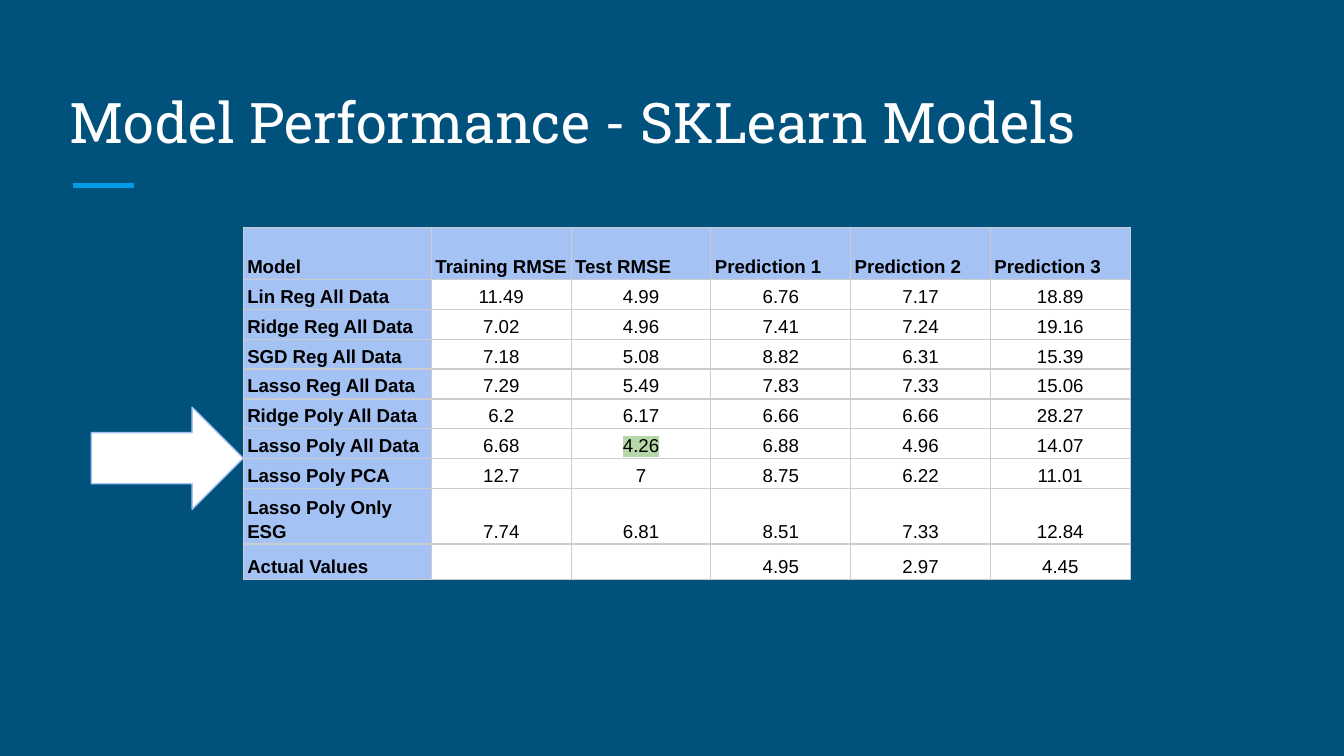
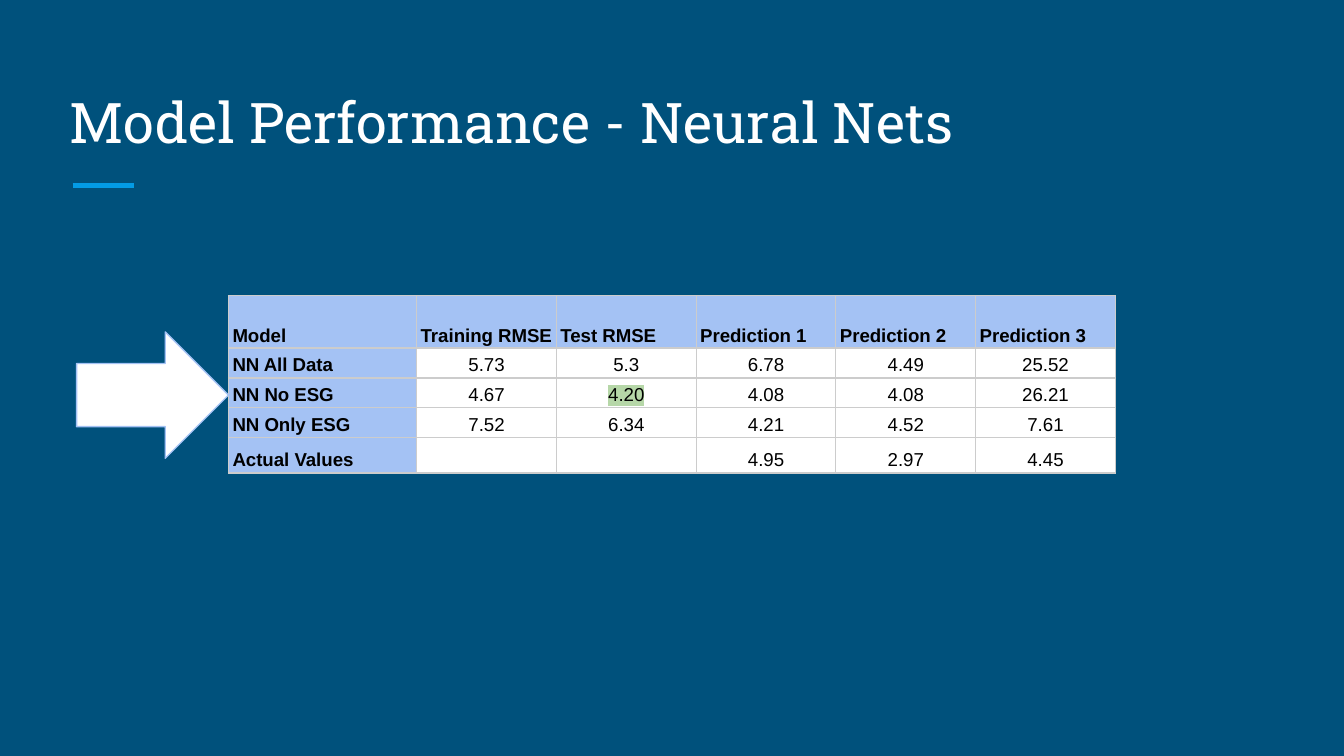
from lxml.etree import SubElement
from pptx import Presentation
from pptx.dml.color import RGBColor
from pptx.enum.shapes import MSO_CONNECTOR, MSO_SHAPE
from pptx.enum.text import MSO_ANCHOR, PP_ALIGN
from pptx.oxml import parse_xml
from pptx.oxml.ns import nsdecls, qn
from pptx.util import Inches, Pt

# Content: the best test score of each table is highlighted
HEADER = ("Model", "Training RMSE", "Test RMSE", "Prediction 1", "Prediction 2", "Prediction 3")
ACTUAL = ("Actual Values", "", "", "4.95", "2.97", "4.45")
SLIDES = [
    {
        "title": "Model Performance - SKLearn Models",
        "table_at": (1.81, 1.69),
        "arrow": (3.03, 0.76),
        "best": "4.26",
        "models": [
            ("Lin Reg All Data", "11.49", "4.99", "6.76", "7.17", "18.89"),
            ("Ridge Reg All Data", "7.02", "4.96", "7.41", "7.24", "19.16"),
            ("SGD Reg All Data", "7.18", "5.08", "8.82", "6.31", "15.39"),
            ("Lasso Reg All Data", "7.29", "5.49", "7.83", "7.33", "15.06"),
            ("Ridge Poly All Data", "6.2", "6.17", "6.66", "6.66", "28.27"),
            ("Lasso Poly All Data", "6.68", "4.26", "6.88", "4.96", "14.07"),
            ("Lasso Poly PCA", "12.7", "7", "8.75", "6.22", "11.01"),
            ("Lasso Poly Only ESG", "7.74", "6.81", "8.51", "7.33", "12.84"),
        ],
    },
    {
        "title": "Model Performance - Neural Nets",
        "table_at": (1.7, 2.2),
        "arrow": (2.47, 0.94),
        "best": "4.20",
        "models": [
            ("NN All Data", "5.73", "5.3", "6.78", "4.49", "25.52"),
            ("NN No ESG", "4.67", "4.20", "4.08", "4.08", "26.21"),
            ("NN Only ESG", "7.52", "6.34", "4.21", "4.52", "7.61"),
        ],
    },
]

# Shared style
NAVY = RGBColor(0x00, 0x51, 0x7C)
ACCENT = RGBColor(0x03, 0x9B, 0xE5)
WHITE = RGBColor(0xFF, 0xFF, 0xFF)
BLACK = RGBColor(0x00, 0x00, 0x00)
PALE_BLUE = RGBColor(0xA4, 0xC2, 0xF4)
GREY = RGBColor(0xCC, 0xCC, 0xCC)
GREEN = RGBColor(0xB6, 0xD7, 0xA8)
TITLE_FONT, TABLE_FONT = "Roboto Slab", "Arial"
NAME_WIDTH, VALUE_WIDTH = 1.4, 1.04
SINGLE_ROW, DOUBLE_ROW = 0.22, 0.39
ARROW_WIDTH = 1.13
TWO_LINE_NAMES = ("Model", "Lasso Poly Only ESG")


def add_run(para, text, font, size, color, bold=False):
    span = para.add_run()
    span.text = text
    span.font.name, span.font.size, span.font.bold = font, Pt(size), bold
    span.font.color.rgb = color
    return span


def add_page(deck, title):
    page = deck.slides.add_slide(deck.slide_layouts[6])
    page.background.fill.solid()
    page.background.fill.fore_color.rgb = NAVY

    # Short accent line under the title
    line = page.shapes.add_connector(
        MSO_CONNECTOR.STRAIGHT, Inches(0.54), Inches(1.38), Inches(1), Inches(1.38))
    line.line.color.rgb = ACCENT
    line.line.width = Pt(3)
    SubElement(line._element.spPr, qn("a:effectLst"))

    box = page.shapes.add_textbox(Inches(0.42), Inches(0.5), Inches(9.15), Inches(0.75))
    frame = box.text_frame
    frame.word_wrap = True
    frame.vertical_anchor = MSO_ANCHOR.BOTTOM
    frame.margin_left = frame.margin_right = Inches(0.1)
    frame.margin_top = frame.margin_bottom = Inches(0.1)
    add_run(frame.paragraphs[0], title, TITLE_FONT, 30, WHITE)
    return page


def highlight(span):
    mark = parse_xml(f'<a:highlight {nsdecls("a")}><a:srgbClr val="{GREEN}"/></a:highlight>')
    span._r.rPr.find(qn("a:solidFill")).addnext(mark)


def style_cell(cell, fill):
    # Borders come before the fill in the cell properties
    for side in ("lnL", "lnR", "lnT", "lnB"):
        cell._tc.get_or_add_tcPr().append(parse_xml(
            f'<a:{side} {nsdecls("a")} w="{Pt(0.75)}"><a:solidFill>'
            f'<a:srgbClr val="{GREY}"/></a:solidFill></a:{side}>'))
    cell.fill.solid()
    cell.fill.fore_color.rgb = fill
    cell.vertical_anchor = MSO_ANCHOR.BOTTOM
    cell.margin_left = cell.margin_right = Inches(0.03)
    cell.margin_top = cell.margin_bottom = Pt(1.1)


def add_score_table(page, left, top, rows, best):
    heights = [DOUBLE_ROW if row[0] in TWO_LINE_NAMES else SINGLE_ROW for row in rows]
    widths = [NAME_WIDTH] + [VALUE_WIDTH] * (len(HEADER) - 1)
    table = page.shapes.add_table(
        len(rows), len(widths), Inches(left), Inches(top),
        Inches(sum(widths)), Inches(sum(heights))).table
    for column, width in zip(table.columns, widths):
        column.width = Inches(width)
    for row, height in zip(table.rows, heights):
        row.height = Inches(height)

    for r, row in enumerate(rows):
        for c, text in enumerate(row):
            heading = r == 0 or c == 0
            cell = table.cell(r, c)
            style_cell(cell, PALE_BLUE if heading else WHITE)
            para = cell.text_frame.paragraphs[0]
            if not text:
                SubElement(para._p, qn("a:endParaRPr"), sz="1400")
                continue
            para.line_spacing = 1.15
            para.alignment = PP_ALIGN.LEFT if heading else PP_ALIGN.CENTER
            span = add_run(para, text, TABLE_FONT, 10, BLACK, heading)
            if c == HEADER.index("Test RMSE") and text == best:
                highlight(span)


def add_arrow(page, tip, top, height):
    arrow = page.shapes.add_shape(
        MSO_SHAPE.RIGHT_ARROW, Inches(tip - ARROW_WIDTH), Inches(top),
        Inches(ARROW_WIDTH), Inches(height))
    arrow.shadow.inherit = False
    arrow.fill.solid()
    arrow.fill.fore_color.rgb = WHITE
    arrow.line.color.rgb = PALE_BLUE
    arrow.line.width = Pt(0.75)


def main():
    deck = Presentation()
    # Widescreen, 16:9
    deck.slide_width = Inches(10)
    deck.slide_height = deck.slide_width * 9 // 16
    for content in SLIDES:
        page = add_page(deck, content["title"])
        left, top = content["table_at"]
        add_score_table(page, left, top, [HEADER, *content["models"], ACTUAL], content["best"])
        # The arrow's tip touches the table's left edge
        add_arrow(page, left, *content["arrow"])
    deck.save("out.pptx")


if __name__ == "__main__":
    main()
